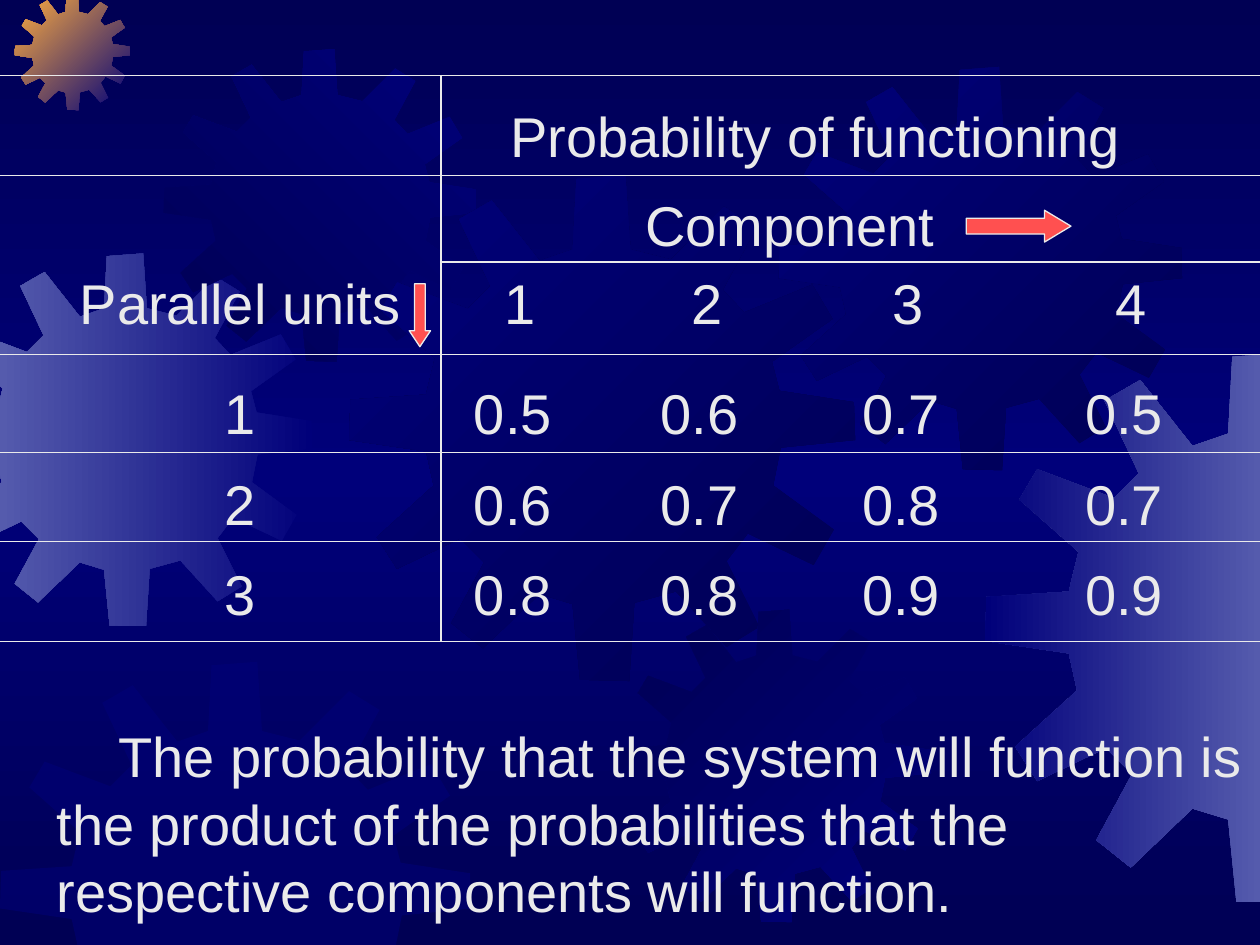
from copy import deepcopy
from dataclasses import dataclass
from itertools import product

from lxml import etree
from pptx import Presentation
from pptx.dml.color import RGBColor
from pptx.enum import shapes, text
from pptx.oxml.ns import qn
from pptx.util import Cm, Pt


@dataclass(frozen=True)
class Theme:
    ink: str = "EAEAEA"
    night: str = "000054"
    navy: str = "00007A"
    lilac: str = "555BAD"
    amber: str = "FCAB40"
    arrow: str = "FF5050"
    font: str = "Arial"
    body: float = 32
    rule: float = 0.75


THEME = Theme()
WIDTH, HEIGHT = 25.4, 19.05

# Twelve-tooth gear outline in a square of GEAR_SPAN units
GEAR_SPAN = 401
GEAR = [
    (255, 67), (223, 59), (219, 0), (180, 3), (177, 59), (151, 68), (113, 20), (87, 35),
    (112, 88), (94, 106), (38, 85), (25, 107), (68, 145), (61, 174), (1, 178), (0, 210),
    (61, 219), (67, 246), (22, 287), (38, 312), (88, 288), (107, 307), (81, 355), (106, 375),
    (151, 332), (177, 340), (183, 400), (222, 401), (226, 339), (259, 330), (299, 374), (325, 358),
    (299, 306), (316, 284), (368, 309), (384, 281), (336, 246), (342, 216), (401, 210), (400, 180),
    (341, 171), (335, 148), (383, 114), (367, 87), (313, 109), (296, 91), (323, 41), (297, 25),
]
# left, top, size, gradient from, gradient to, clockwise angle
GEARS = [
    (-1.22, 5.11, 7.52, THEME.navy, THEME.lilac, 180),
    (0.3, -0.1, 2.32, THEME.navy, THEME.amber, 225),
    (3.3, 0.99, 6.3, THEME.navy, THEME.night, 135),
    (7.04, 3.53, 10.2, THEME.night, THEME.navy, 225),
    (0, 13.34, 9.5, THEME.navy, None, 0),
    (12.47, 12.29, 6.3, THEME.navy, THEME.night, 225),
    (15.7, 1.35, 8.13, THEME.night, THEME.navy, 225),
    (19.86, 7.11, 11.1, THEME.lilac, THEME.navy, 180),
]

COLUMN_WIDTHS = [8.89, 2.9, 4.62, 3.51, 5.48]
ROW_HEIGHTS = [2.01, 1.75, 1.86, 1.98, 1.8, 2.01]
TEXT_OFFSETS = [0.63, 0.42, 0.23, 0.6, 0.44, 0.46]
ROWS = [
    ["", "Probability of functioning", "", "", ""],
    ["Parallel units", "Component", "", "", ""],
    ["", "1", "2", "3", "4"],
    ["1", "0.5", "0.6", "0.7", "0.5"],
    ["2", "0.6", "0.7", "0.8", "0.7"],
    ["3", "0.8", "0.8", "0.9", "0.9"],
]
CONCLUSION = (
    "The probability that the system will function is the product of the "
    "probabilities that the respective components will function."
)


def rgb(color):
    return RGBColor.from_string(color)


def style_text(paragraph):
    for run in paragraph.runs:
        run.font.name = THEME.font
        run.font.size = Pt(THEME.body)
        run.font.color.rgb = rgb(THEME.ink)


def fill_gradient(fill, start, end, angle):
    fill.gradient()
    fill.gradient_angle = 360 - angle
    for stop, color in zip(fill.gradient_stops, (start, end)):
        stop.color.rgb = rgb(color)


def paint_background(slide):
    """Vertical gradient, dark at both ends and lighter in the middle."""
    fill_gradient(slide.background.fill, THEME.night, THEME.navy, 90)
    stops = slide.element.find(".//" + qn("a:gsLst"))
    stops.append(deepcopy(stops[0]))
    for stop, position in zip(stops, (0, 50000, 100000)):
        stop.set("pos", str(position))


def clip(points, axis, limit, side):
    """Keep the part of a polygon where side * (coordinate - limit) >= 0."""
    kept = []
    for a, b in zip(points, points[1:] + points[:1]):
        da, db = side * (a[axis] - limit), side * (b[axis] - limit)
        if da >= 0:
            kept.append(a)
        if da * db < 0:
            t = da / (da - db)
            kept.append((a[0] + t * (b[0] - a[0]), a[1] + t * (b[1] - a[1])))
    return kept


def add_gear(slide, left, top, size, start, end, angle):
    scale = size / GEAR_SPAN
    outline = [(left + x * scale, top + y * scale) for x, y in GEAR]
    for axis, limit, side in ((0, 0, 1), (0, WIDTH, -1), (1, 0, 1), (1, HEIGHT, -1)):
        outline = clip(outline, axis, limit, side)
    corners = [(Cm(x), Cm(y)) for x, y in outline]
    builder = slide.shapes.build_freeform(*corners[0])
    builder.add_line_segments(corners[1:], close=True)
    gear = builder.convert_to_shape()
    gear.shadow.inherit = False
    gear.line.fill.background()
    if end:
        fill_gradient(gear.fill, start, end, angle)
    else:
        gear.fill.solid()
        gear.fill.fore_color.rgb = rgb(start)
        color = gear.element.spPr.find(".//" + qn("a:srgbClr"))
        etree.SubElement(color, qn("a:alpha")).set("val", "50000")


def set_borders(cell, ruled):
    """Rule the sides named in ruled (L, R, T, B) and clear the others."""
    properties = cell._tc.get_or_add_tcPr()
    for index, side in enumerate("LRTB"):
        line = etree.Element(qn("a:ln" + side), w=str(Pt(THEME.rule)))
        if side in ruled:
            fill = etree.SubElement(line, qn("a:solidFill"))
            etree.SubElement(fill, qn("a:srgbClr")).set("val", THEME.ink)
        else:
            etree.SubElement(line, qn("a:noFill"))
        properties.insert(index, line)


def add_probability_table(slide, left, top):
    table = slide.shapes.add_table(
        len(ROWS), len(COLUMN_WIDTHS), Cm(left), Cm(top),
        Cm(sum(COLUMN_WIDTHS)), Cm(sum(ROW_HEIGHTS))).table
    table.first_row = table.horz_banding = False
    for column, width in zip(table.columns, COLUMN_WIDTHS):
        column.width = Cm(width)
    for row, height in zip(table.rows, ROW_HEIGHTS):
        row.height = Cm(height)
    for r, c in product(range(len(ROWS)), range(len(COLUMN_WIDTHS))):
        cell = table.cell(r, c)
        cell.text = ROWS[r][c]
        cell.fill.background()
        cell.margin_top, cell.margin_bottom = Cm(TEXT_OFFSETS[r]), 0
        cell.margin_left, cell.margin_right = Cm(0 if c else 0.8), 0
        paragraph = cell.text_frame.paragraphs[0]
        paragraph.alignment = text.PP_ALIGN.CENTER
        paragraph.font.size = Pt(THEME.body)
        style_text(paragraph)
        upper = "" if (r, c) == (2, 0) else "T"
        lower = "" if (r, c) == (1, 0) else "B"
        side = {0: "R", 1: "L"}.get(c, "")
        set_borders(cell, upper + lower + side)
    for c in range(1, 5):
        table.cell(2, c).margin_left = Cm(0.3)
    table.cell(0, 1).margin_right = Cm(1.4)
    table.cell(1, 1).margin_right = Cm(2.44)
    table.cell(1, 0).margin_top = Cm(1.98)
    table.cell(0, 1).merge(table.cell(0, 4))
    table.cell(1, 1).merge(table.cell(1, 4))
    table.cell(1, 0).merge(table.cell(2, 0))


def add_arrow(slide, preset, left, top, width, height, head):
    arrow = slide.shapes.add_shape(preset, Cm(left), Cm(top), Cm(width), Cm(height))
    arrow.shadow.inherit = False
    arrow.adjustments[0], arrow.adjustments[1] = 0.5, head
    arrow.fill.solid()
    arrow.fill.fore_color.rgb = rgb(THEME.arrow)
    arrow.line.color.rgb = rgb(THEME.ink)
    arrow.line.width = Pt(THEME.rule)


def add_conclusion(slide, left, top, width, height):
    frame = slide.shapes.add_textbox(Cm(left), Cm(top), Cm(width), Cm(height)).text_frame
    frame.word_wrap = True
    frame.text = CONCLUSION
    paragraph = frame.paragraphs[0]
    paragraph._p.get_or_add_pPr().set("indent", str(Cm(1.25)))
    style_text(paragraph)


def main():
    deck = Presentation()
    deck.slide_width, deck.slide_height = Cm(WIDTH), Cm(HEIGHT)
    slide = deck.slides.add_slide(deck.slide_layouts[6])
    paint_background(slide)
    for gear in GEARS:
        add_gear(slide, *gear)
    add_probability_table(slide, 0, 1.52)
    add_arrow(slide, shapes.MSO_SHAPE.DOWN_ARROW, 8.25, 5.72, 0.43, 1.27, 0.75)
    add_arrow(slide, shapes.MSO_SHAPE.RIGHT_ARROW, 19.48, 4.24, 2.11, 0.64, 0.83)
    add_conclusion(slide, 0.89, 14.43, 24.51, 4.32)
    deck.save("out.pptx")


if __name__ == "__main__":
    main()
